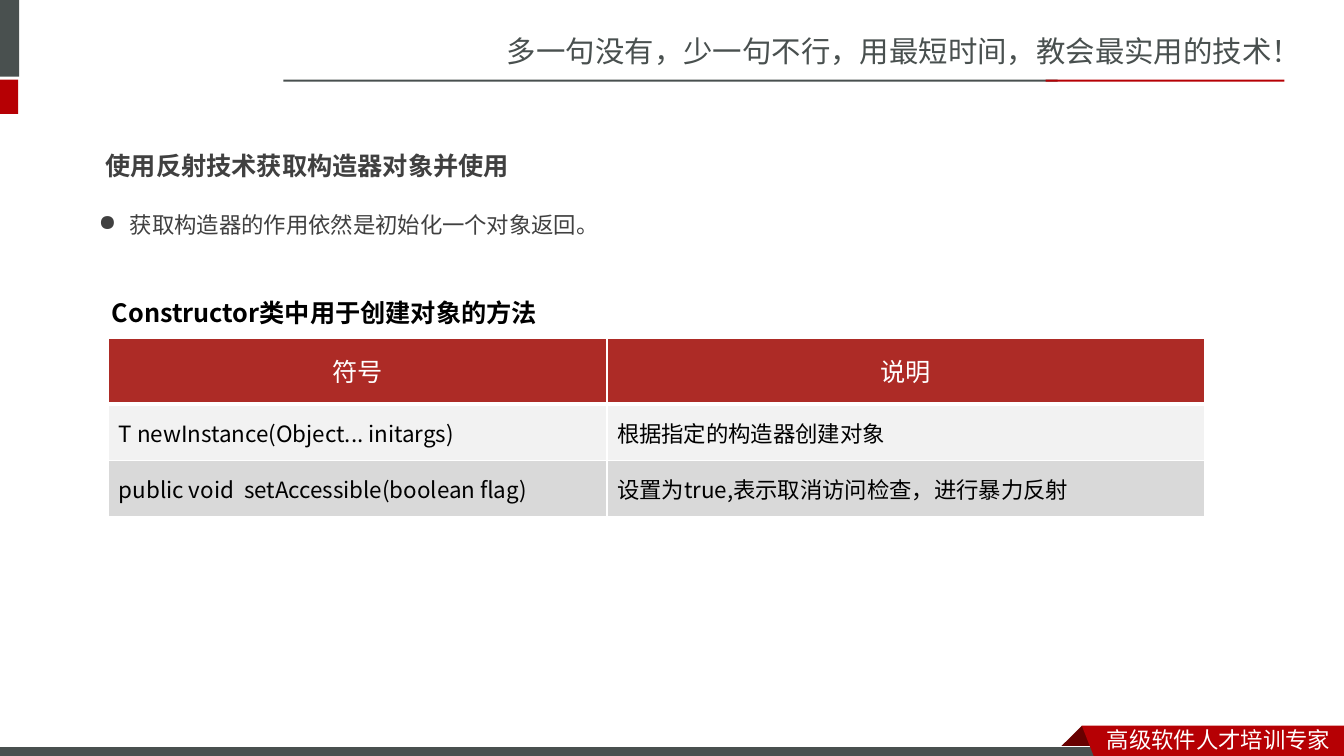
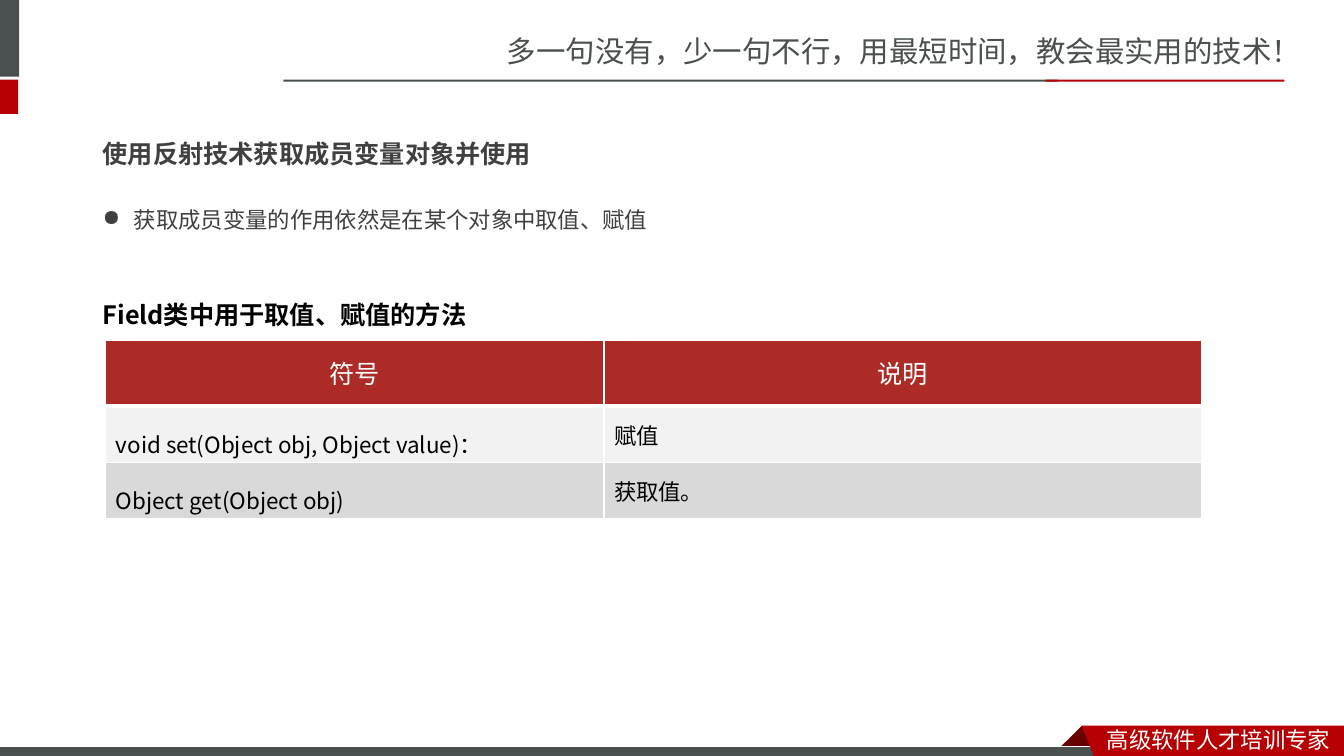
import dataclasses

import lxml.etree
import pptx
import pptx.dml.color
import pptx.enum.shapes
import pptx.enum.text
import pptx.oxml.ns
import pptx.util

Inches, Pt = pptx.util.Inches, pptx.util.Pt
ALIGN = pptx.enum.text.PP_ALIGN


@dataclasses.dataclass(frozen=True)
class Theme:
    slate: str = "49504F"
    red: str = "B60004"
    dark_red: str = "680000"
    header: str = "AD2B26"
    bands: tuple = ("F2F2F2", "D9D9D9")
    white: str = "FFFFFF"
    black: str = "000000"
    body: str = "404040"
    sans: str = "Noto Sans CJK SC"
    heading_sans: str = "Noto Sans CJK JP"
    header_latin: str = "Calibri"
    slogan_size: float = 21
    heading_size: float = 18
    body_size: float = 16


THEME = Theme()
WIDTH, HEIGHT = 13.33, 7.5
SLOGAN = "多一句没有，少一句不行，用最短时间，教会最实用的技术！"
FOOTER = "高级软件人才培训专家"
TABLE_HEADER = ("符号", "说明")
COLUMNS = (4.94, 5.93)
ROWS = (0.65, 0.56, 0.56)
INDENT = 0.31

# Each position is (left, top) in inches.
PAGES = [
    {
        "heading": ("使用反射技术获取构造器对象并使用", (0.95, 1.29)),
        "bullet": ("获取构造器的作用依然是初始化一个对象返回。", (0.88, 1.91)),
        "caption": ("Constructor类中用于创建对象的方法", (1.01, 2.75)),
        "table_at": (1.08, 3.36),
        "methods": [
            ("T newInstance(Object... initargs)", "根据指定的构造器创建对象"),
            ("public void  setAccessible(boolean flag)",
             "设置为true,表示取消访问检查，进行暴力反射"),
        ],
        "method_format": {},
    },
    {
        "heading": ("使用反射技术获取成员变量对象并使用", (0.92, 1.17)),
        "bullet": ("获取成员变量的作用依然是在某个对象中取值、赋值", (0.92, 1.86)),
        "caption": ("Field类中用于取值、赋值的方法", (0.92, 2.77)),
        "table_at": (1.05, 3.38),
        "methods": [
            ("void set(Object obj, Object value)：", "赋值"),
            ("Object get(Object obj)", "获取值。"),
        ],
        "method_format": {"spacing": 1.5, "before": 0.2 * THEME.body_size},
    },
]

# Left, top, width, height, fill.
BANDS = [
    (-0.06, 0, 0.25, 0.76, THEME.slate),
    (-0.06, 0.79, 0.24, 0.34, THEME.red),
    (2.81, 0.79, 7.68, 0.02, THEME.slate),
    (10.37, 0.79, 2.37, 0.02, THEME.red),
]
FOOTER_BAR = (-0.01, 7.41, 11, 0.12, THEME.slate)
RIBBON_FOLD = [(10.73, 7.2), (10.95, 7.42), (10.94, 7.43), (10.52, 7.43), (10.51, 7.42)]
RIBBON = [(10.73, 7.2), (WIDTH, 7.2), (WIDTH, 7.54), (10.86, 7.53)]


def rgb(color):
    return pptx.dml.color.RGBColor.from_string(color)


def add_element(parent, tag, **attributes):
    return lxml.etree.SubElement(parent, pptx.oxml.ns.qn(tag), attributes)


def write(frame, text, size, color, font=THEME.sans, latin=None, bold=False,
          align=ALIGN.LEFT, spacing=None, before=None):
    """Fill a text frame with one formatted paragraph and return it."""
    frame.text = text
    para = frame.paragraphs[0]
    para.alignment = align
    if spacing is not None:
        para.line_spacing = spacing
    if before is not None:
        para.space_before = Pt(before)
    for span in para.runs:
        span.font.size = Pt(size)
        span.font.bold = bold
        span.font.color.rgb = rgb(color)
        span.font.name = latin or font
        add_element(span.font._element, "a:ea", typeface=font)
    return para


def add_text(page, text, left, top, width, height, size, color, **style):
    box = page.shapes.add_textbox(*map(Inches, (left, top, width, height)))
    box.text_frame.word_wrap = True
    box.text_frame.auto_size = pptx.enum.text.MSO_AUTO_SIZE.SHAPE_TO_FIT_TEXT
    return write(box.text_frame, text, size, color, **style)


def paint(shape, color):
    shape.shadow.inherit = False
    shape.fill.solid()
    shape.fill.fore_color.rgb = rgb(color)
    shape.line.fill.background()


def add_band(page, left, top, width, height, color):
    band = page.shapes.add_shape(pptx.enum.shapes.MSO_SHAPE.RECTANGLE,
                                 *map(Inches, (left, top, width, height)))
    paint(band, color)
    return band


def add_outline(page, points, color):
    start, *rest = [(Inches(x), Inches(y)) for x, y in points]
    builder = page.shapes.build_freeform(*start, scale=1.0)
    builder.add_line_segments(rest, close=True)
    paint(builder.convert_to_shape(), color)


def add_frame(page):
    """Draw the slogan, side bands and footer that every page carries."""
    add_text(page, SLOGAN, 4.93, 0.28, 8.41, 0.47, THEME.slogan_size, THEME.slate)
    for band in BANDS:
        add_band(page, *band)
    add_outline(page, RIBBON_FOLD, THEME.dark_red)
    bar = add_band(page, *FOOTER_BAR)
    bar.line.color.rgb = rgb(THEME.white)
    bar.line.width = Pt(0.75)
    add_outline(page, RIBBON, THEME.red)
    add_text(page, FOOTER, 10.88, 7.15, 2.45, 0.37, THEME.body_size, THEME.white)


def add_bullet(para):
    properties = para._p.get_or_add_pPr()
    properties.set("marL", str(Inches(INDENT)))
    properties.set("indent", str(-Inches(INDENT)))
    add_element(properties, "a:buChar", char="●")


def style_cell(cell, color, top, bottom):
    """Set white borders, then the fill, which must follow them in the XML."""
    properties = cell._tc.get_or_add_tcPr()
    for side, points in (("L", 1), ("R", 1), ("T", top), ("B", bottom)):
        line = add_element(properties, f"a:ln{side}", w=str(Pt(points)))
        add_element(add_element(line, "a:solidFill"), "a:srgbClr", val=THEME.white)
    cell.fill.solid()
    cell.fill.fore_color.rgb = rgb(color)
    cell.vertical_anchor = pptx.enum.text.MSO_ANCHOR.MIDDLE


def add_method_table(page, position, methods, method_format):
    size = (sum(COLUMNS), sum(ROWS))
    table = page.shapes.add_table(len(ROWS), len(COLUMNS),
                                  *map(Inches, (*position, *size))).table
    table.first_row = table.horz_banding = False
    for column, width in zip(table.columns, COLUMNS):
        column.width = Inches(width)
    for row, height in zip(table.rows, ROWS):
        row.height = Inches(height)
    for cell, text in zip(table.rows[0].cells, TABLE_HEADER):
        style_cell(cell, THEME.header, top=1, bottom=3)
        write(cell.text_frame, text, THEME.heading_size, THEME.white,
              latin=THEME.header_latin, align=ALIGN.CENTER, spacing=Pt(24))
    for index, texts in enumerate(methods):
        formats = (method_format, {})
        for cell, text, style in zip(table.rows[index + 1].cells, texts, formats):
            style_cell(cell, THEME.bands[index], top=1 if index else 3, bottom=1)
            write(cell.text_frame, text, THEME.body_size, THEME.black, **style)


def add_page(deck, content):
    page = deck.slides.add_slide(deck.slide_layouts[6])
    add_frame(page)
    style = {"font": THEME.heading_sans, "spacing": 1.5}
    text, position = content["caption"]
    add_text(page, text, *position, 11.59, 0.51, THEME.heading_size,
             THEME.black, bold=True, **style)
    add_method_table(page, content["table_at"], content["methods"],
                     content["method_format"])
    text, position = content["bullet"]
    add_bullet(add_text(page, text, *position, 6.06, 0.46, THEME.body_size,
                        THEME.body, **style))
    text, position = content["heading"]
    add_text(page, text, *position, 6.06, 0.51, THEME.heading_size,
             THEME.body, bold=True, **style)


def main():
    deck = pptx.Presentation()
    deck.slide_width, deck.slide_height = Inches(WIDTH), Inches(HEIGHT)
    for content in PAGES:
        add_page(deck, content)
    deck.save("out.pptx")


if __name__ == "__main__":
    main()
